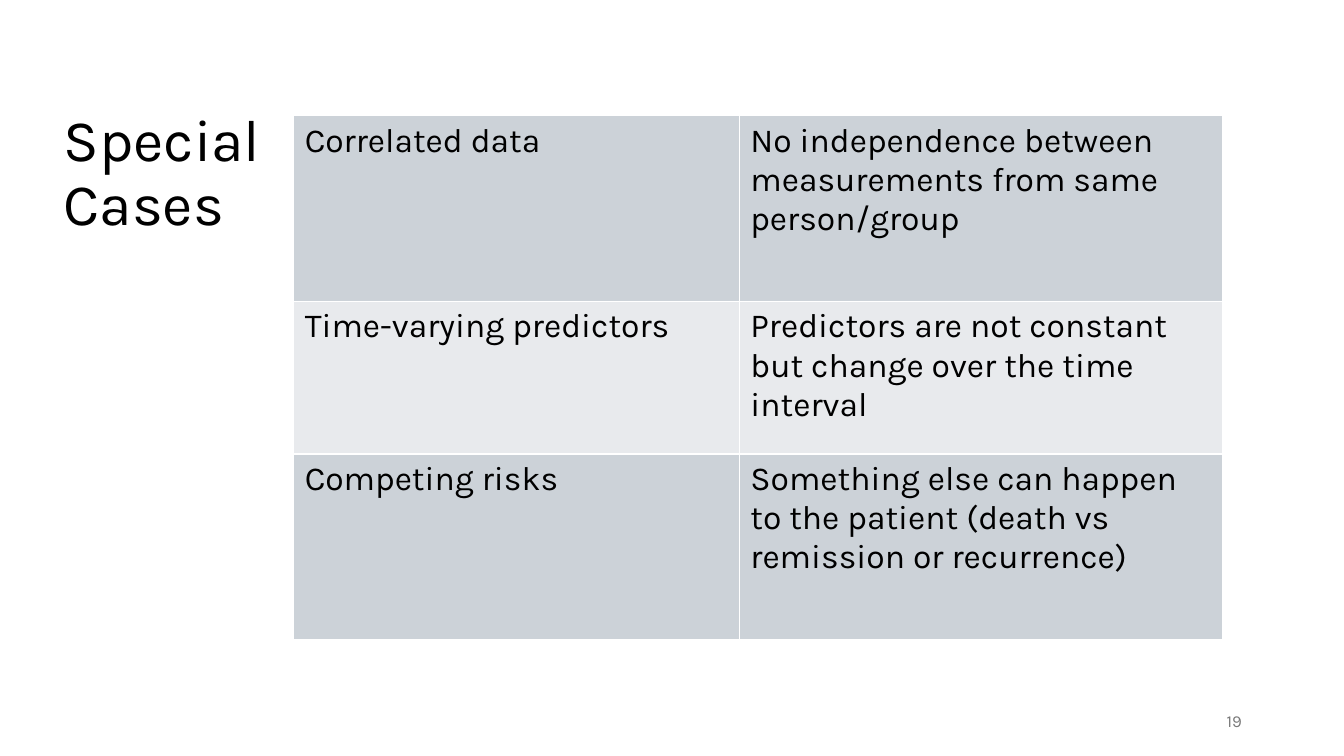
from lxml.etree import fromstring
from pptx import Presentation
from pptx.dml.color import RGBColor
from pptx.enum.text import MSO_ANCHOR, MSO_AUTO_SIZE, PP_ALIGN
from pptx.util import Cm, Pt

BLACK = RGBColor(0x00, 0x00, 0x00)
GREY = RGBColor(0x79, 0x79, 0x79)
WHITE = RGBColor(0xFF, 0xFF, 0xFF)
BAND_FILLS = (RGBColor(0xCC, 0xD2, 0xD8), RGBColor(0xE8, 0xEA, 0xED))
DRAWING_NS = "http://schemas.openxmlformats.org/drawingml/2006/main"

SPECIAL_CASES = [
    ("Correlated data",
     "No independence between measurements from same person/group"),
    ("Time-varying predictors",
     "Predictors are not constant but change over the time interval"),
    ("Competing risks",
     "Something else can happen to the patient (death vs remission or recurrence)"),
]


class SlideBuilder:
    font = "Karla"

    def __init__(self, slide):
        self.slide = slide

    def add_text(self, paragraph, text, size, color=BLACK):
        run = paragraph.add_run()
        run.text = text
        run.font.name = self.font
        run.font.size = Pt(size)
        run.font.color.rgb = color

    def title(self, text, left, top, width, height):
        heading = self.slide.shapes.title
        heading.left, heading.top = Cm(left), Cm(top)
        heading.width, heading.height = Cm(width), Cm(height)
        frame = heading.text_frame
        frame.word_wrap = True
        frame.auto_size = MSO_AUTO_SIZE.NONE
        frame.vertical_anchor = MSO_ANCHOR.TOP
        paragraph = frame.paragraphs[0]
        paragraph.alignment = PP_ALIGN.LEFT
        paragraph.line_spacing = 0.9
        self.add_text(paragraph, text, 42)

    def border(self, cell):
        properties = cell._tc.get_or_add_tcPr()
        for position, side in enumerate(("lnL", "lnR", "lnT", "lnB")):
            properties.insert(position, fromstring(
                f'<a:{side} xmlns:a="{DRAWING_NS}" w="{Pt(1)}">'
                f'<a:solidFill><a:srgbClr val="{WHITE}"/></a:solidFill></a:{side}>'))

    def table(self, rows, left, top, widths, heights):
        grid = self.slide.shapes.add_table(
            len(rows), len(widths), Cm(left), Cm(top),
            Cm(sum(widths)), Cm(sum(heights))).table
        grid.first_row = grid.horz_banding = False
        for column, width in zip(grid.columns, widths):
            column.width = Cm(width)
        for index, (row, texts, height) in enumerate(zip(grid.rows, rows, heights)):
            row.height = Cm(height)
            for cell, text in zip(row.cells, texts):
                cell.fill.solid()
                cell.fill.fore_color.rgb = BAND_FILLS[index % 2]
                cell.margin_left = cell.margin_right = Cm(0.28)
                cell.margin_top = cell.margin_bottom = Cm(0.14)
                self.border(cell)
                self.add_text(cell.text_frame.paragraphs[0], text, 24)

    def page_number(self, text, left, top, width, height):
        frame = self.slide.shapes.add_textbox(
            Cm(left), Cm(top), Cm(width), Cm(height)).text_frame
        frame.word_wrap = True
        frame.vertical_anchor = MSO_ANCHOR.MIDDLE
        paragraph = frame.paragraphs[0]
        paragraph.alignment = PP_ALIGN.RIGHT
        self.add_text(paragraph, text, 12, GREY)


def main():
    presentation = Presentation()
    presentation.slide_width = Cm(33.87)
    presentation.slide_height = Cm(19.05)
    builder = SlideBuilder(
        presentation.slides.add_slide(presentation.slide_layouts[5]))
    builder.title("Special Cases", 1.35, 2.67, 7.9, 7.72)
    builder.table(SPECIAL_CASES, 7.4, 2.92, (11.23, 12.19), (4.68, 3.84, 4.68))
    builder.page_number("19", 23.93, 17.65, 7.62, 1.02)
    presentation.save("out.pptx")


if __name__ == "__main__":
    main()
